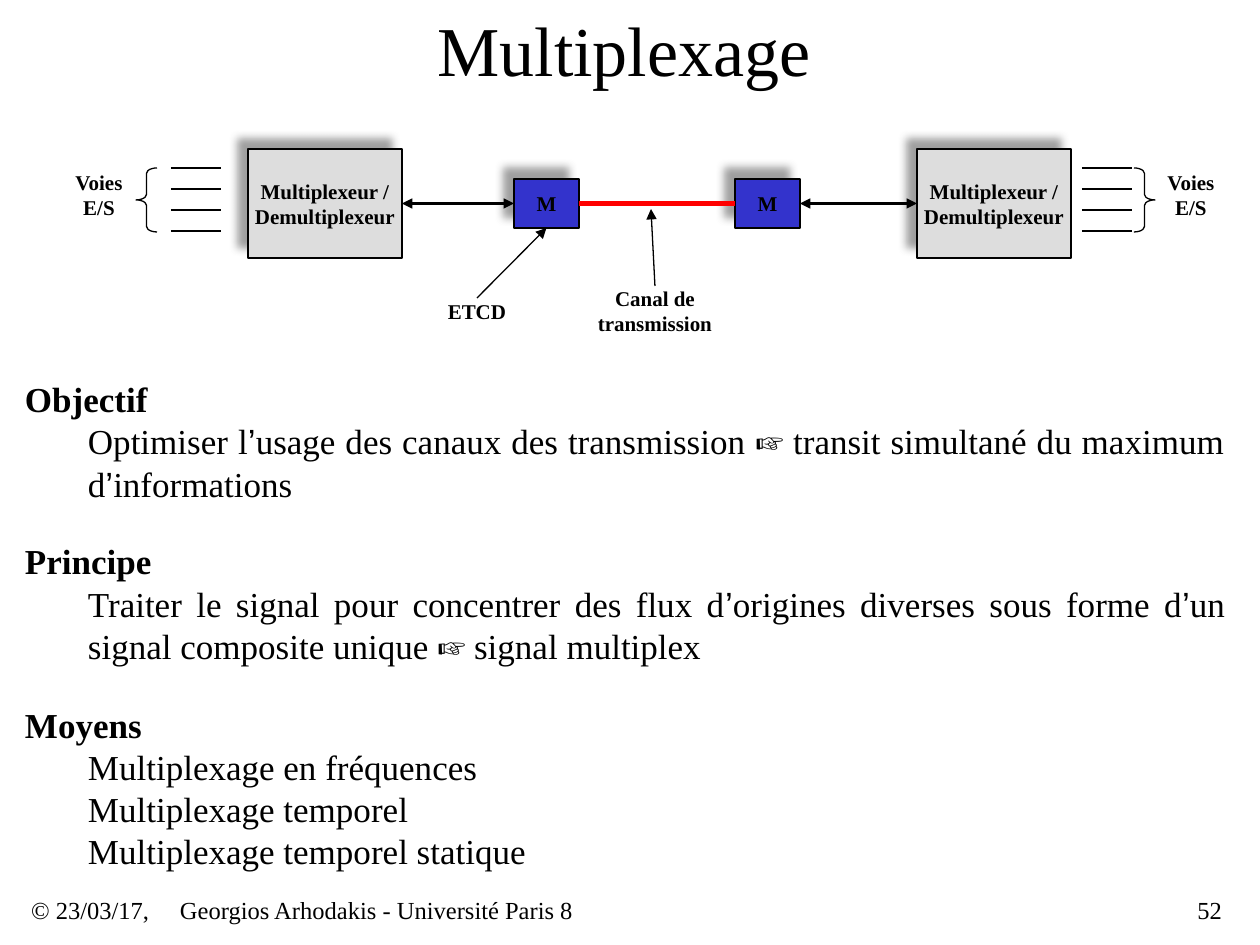
from itertools import product
from lxml.etree import SubElement
from pptx import Presentation
from pptx.dml.color import RGBColor
from pptx.enum.shapes import MSO_CONNECTOR, MSO_SHAPE
from pptx.enum.text import MSO_ANCHOR, MSO_AUTO_SIZE, PP_ALIGN
from pptx.oxml.ns import qn
from pptx.util import Emu, Pt

FONT, QUOTE_FONT = "Times New Roman", "Arial"
BLACK, GREY, BLUE, RED = "000000", "DDDDDD", "3333CC", "FF0000"
LEFT, CENTER, RIGHT, JUSTIFY = PP_ALIGN.LEFT, PP_ALIGN.CENTER, PP_ALIGN.RIGHT, PP_ALIGN.JUSTIFY
TIGHT, NONE, NORMAL = (6, 3), (0, 0), (13, 6)  # horizontal and vertical insets

TITLE = "Multiplexage"
FOOTER = [  # text, left, width, alignment
    ("© 23/03/17,", 25, 248, LEFT),
    ("Georgios Arhodakis - Université Paris 8", 174, 645, LEFT),
    ("52", 966, 262, RIGHT),
]
SECTIONS = [  # top, height, heading, items
    (378, 126, "Objectif", [
        "Optimiser l’usage des canaux des transmission ☞ transit simultané du maximum d’informations"]),
    (540, 126, "Principe", [
        "Traiter le signal pour concentrer des flux d’origines diverses sous forme d’un "
        "signal composite unique ☞ signal multiplex"]),
    (703, 168, "Moyens", [
        "Multiplexage en fréquences", "Multiplexage temporel", "Multiplexage temporel statique"]),
]
BOXES = [  # text, box, fill, insets, wrap
    ("Multiplexeur / Demultiplexeur", (248, 149, 154, 109), GREY, TIGHT, True),
    ("M", (514, 179, 65, 49), BLUE, NORMAL, False),
    ("M", (735, 179, 65, 49), BLUE, NORMAL, False),
    ("Multiplexeur / Demultiplexeur", (917, 149, 154, 109), GREY, TIGHT, True),
]
LINKS = [(RED, 3, ""), (BLACK, 1.5, "both"), (BLACK, 1.5, "both")]
LABELS = [
    ("Voies E/S", (62, 170, 74, 50)),
    ("Voies E/S", (1154, 170, 74, 50)),
    ("Canal de transmission", (597, 286, 116, 50)),
    ("ETCD", (440, 298, 74, 26)),
]
BRACES = [(136, False), (1134, True)]  # left, mirrored
CHANNEL_LEFTS, CHANNEL_TOP, CHANNEL_STEP, CHANNEL_WIDTH = (171, 1082), 168, 21, 50


def px(n):
    return Emu(round(n * 914400 / 126))


def rgb(value):
    return RGBColor.from_string(value)


def place(sp, box):
    sp.left, sp.top, sp.width, sp.height = map(px, box)


def add_run(p, text, size, bold=False):
    """Add text run by run, with the apostrophes in their own font."""
    for i, part in enumerate(text.split("’")):
        for piece, font in ([("’", QUOTE_FONT)] if i else []) + [(part, FONT)]:
            r = p.add_run()
            r.text = piece
            r.font.name, r.font.size, r.font.bold = font, Pt(size), bold
            r.font.color.rgb = rgb(BLACK)


def set_frame(sp, insets, wrap=True, grow=True):
    tf = sp.text_frame
    tf.margin_left = tf.margin_right = px(insets[0])
    tf.margin_top = tf.margin_bottom = px(insets[1])
    tf.vertical_anchor = MSO_ANCHOR.MIDDLE
    tf.word_wrap = wrap
    tf.auto_size = MSO_AUTO_SIZE.SHAPE_TO_FIT_TEXT if grow else MSO_AUTO_SIZE.NONE
    return tf


def write(sp, text, size, align, insets, bold=False, **frame):
    p = set_frame(sp, insets, **frame).paragraphs[0]
    p.alignment = align
    add_run(p, text, size, bold)


def add_text(s, box):
    return s.shapes.add_textbox(*map(px, box))


def add_section(s, top, height, heading, items):
    tf = set_frame(add_text(s, (25, top, 1200, height)), NONE)
    p = tf.paragraphs[0]
    p.alignment = JUSTIFY
    add_run(p, heading, 20, True)
    for item in items:
        p = tf.add_paragraph()
        p.level, p.alignment = 1, JUSTIFY
        pPr = p._p.get_or_add_pPr()
        pPr.set("marL", str(px(63)))
        pPr.set("indent", "0")
        add_run(p, item, 20)


def add_shadow(sp):
    effects = sp.element.spPr.find(qn("a:effectLst"))
    shadow = SubElement(effects, qn("a:outerShdw"), blurRad=str(Pt(5)), dist=str(Pt(8.5)),
                        dir=str(225 * 60000), algn="ctr", rotWithShape="0")
    color = SubElement(shadow, qn("a:srgbClr"), val="808080")
    SubElement(color, qn("a:alpha"), val="75000")


def add_box(s, text, box, fill, insets, wrap):
    sp = s.shapes.add_shape(MSO_SHAPE.RECTANGLE, *map(px, box))
    sp.fill.solid()
    sp.fill.fore_color.rgb = rgb(fill)
    sp.line.color.rgb, sp.line.width = rgb(BLACK), Pt(0.75)
    sp.shadow.inherit = False
    add_shadow(sp)
    write(sp, text, 12, CENTER, insets, bold=True, wrap=wrap, grow=False)
    return sp


def add_line(s, start=(0, 0), end=(0, 0), color=BLACK, width=0.75, arrows=""):
    line = s.shapes.add_connector(MSO_CONNECTOR.STRAIGHT, *map(px, (*start, *end)))
    line.line.color.rgb, line.line.width = rgb(color), Pt(width)
    ln = line.line._get_or_add_ln()
    for tag in {"both": ("headEnd", "tailEnd"), "end": ("tailEnd",)}.get(arrows, ()):
        SubElement(ln, qn("a:" + tag), type="triangle")
    SubElement(line.element.spPr, qn("a:effectLst"))
    return line


def add_brace(s, left, mirrored):
    sp = s.shapes.add_shape(MSO_SHAPE.LEFT_BRACE, *map(px, (left, 168, 21, 64)))
    sp.adjustments[0] = 0.26
    sp.fill.background()
    sp.line.color.rgb, sp.line.width = rgb(BLACK), Pt(0.75)
    sp.shadow.inherit = False
    if mirrored:
        sp.element.spPr.find(qn("a:xfrm")).set("flipH", "1")


def main():
    prs = Presentation()
    prs.slide_width, prs.slide_height = px(1260), px(945)
    s = prs.slides.add_slide(prs.slide_layouts[5])

    place(s.shapes.title, (136, 0, 976, 97))
    write(s.shapes.title, TITLE, 40, CENTER, NORMAL)
    for text, left, width, align in FOOTER:
        write(add_text(s, (left, 892, width, 35)), text, 14, align, TIGHT)
    for section in SECTIONS:
        add_section(s, *section)

    mux, modem, far_modem, far_mux = [add_box(s, *box) for box in BOXES]
    pairs = [(modem, far_modem), (mux, modem), (far_modem, far_mux)]
    for (a, b), (color, width, arrows) in zip(pairs, LINKS):
        link = add_line(s, color=color, width=width, arrows=arrows)
        link.begin_connect(a, 3)
        link.end_connect(b, 1)

    for left, row in product(CHANNEL_LEFTS, range(4)):
        y = CHANNEL_TOP + row * CHANNEL_STEP
        add_line(s, (left, y), (left + CHANNEL_WIDTH, y))
    for brace in BRACES:
        add_brace(s, *brace)

    labels = []
    for text, box in LABELS:
        labels.append(add_text(s, box))
        write(labels[-1], text, 12, CENTER, NONE, bold=True)
    canal, etcd = labels[2:]
    add_line(s, end=(651, 209), arrows="end").begin_connect(canal, 0)
    pointer = add_line(s, arrows="end")
    pointer.begin_connect(etcd, 0)
    pointer.end_connect(modem, 2)

    prs.save("out.pptx")


if __name__ == "__main__":
    main()
